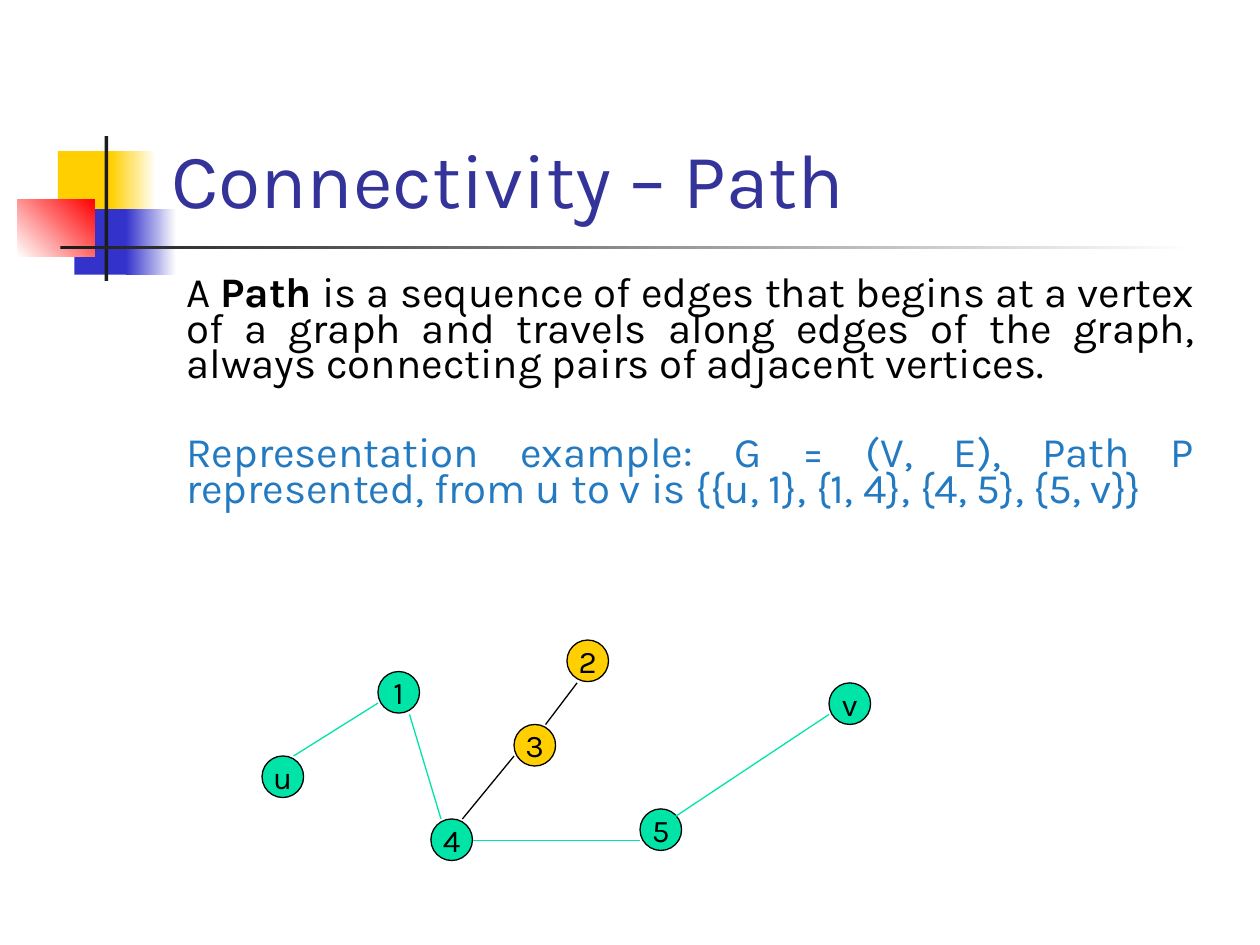
from lxml.etree import SubElement
from pptx import Presentation
from pptx.dml.color import RGBColor
from pptx.enum.shapes import MSO_CONNECTOR, MSO_SHAPE
from pptx.enum.text import MSO_ANCHOR, MSO_AUTO_SIZE, PP_ALIGN
from pptx.oxml.ns import qn
from pptx.util import Inches, Pt

FONT = "Karla"
BLACK, WHITE, INDIGO, BLUE = "000000", "FFFFFF", "333399", "237AC1"
YELLOW, VIOLET, RED, CHARCOAL, GREEN = "FFCF01", "3333CC", "FF0000", "1C1C1C", "00E4A8"


def rgb(value):
    """Turn a hex string into a colour."""
    return RGBColor.from_string(value)


def add_run(paragraph, text, size, color, bold=False):
    """Add one formatted run to a paragraph."""
    run = paragraph.add_run()
    run.text = text
    run.font.name = FONT
    run.font.size = Pt(size)
    run.font.bold = bold
    run.font.color.rgb = rgb(color)


def add_bar(slide, left, top, width, height, colors, angle=0):
    """Add a borderless rectangle with a solid or two-colour gradient fill."""
    bar = slide.shapes.add_shape(
        MSO_SHAPE.RECTANGLE, Inches(left), Inches(top), Inches(width), Inches(height))
    bar.shadow.inherit = False
    bar.line.fill.background()
    if len(colors) == 1:
        bar.fill.solid()
        bar.fill.fore_color.rgb = rgb(colors[0])
        return
    bar.fill.gradient()
    bar.fill.gradient_angle = angle
    for stop, color, position in zip(bar.fill.gradient_stops, colors, (0, 1)):
        stop.color.rgb = rgb(color)
        stop.position = position


def add_ornament(slide, left, top):
    """Draw the coloured squares and crossing rules beside the title."""
    bars = [
        (0.32, 0.12, 0.48, 0.52, [YELLOW], 0),
        (0.74, 0.12, 0.36, 0.52, [YELLOW, WHITE], 0),
        (0.45, 0.58, 0.46, 0.52, [VIOLET], 0),
        (0.86, 0.58, 0.4, 0.52, [VIOLET, WHITE], 0),
        (0, 0.5, 0.61, 0.46, [WHITE, RED], 45),
        (0.69, 0, 0.03, 1.15, [CHARCOAL], 0),
        (0.34, 0.87, 9, 0.03, [CHARCOAL, WHITE], 0),
    ]
    for x, y, width, height, colors, angle in bars:
        add_bar(slide, left + x, top + y, width, height, colors, angle)


def add_title(slide, left, top, width, height):
    """Place and format the slide title."""
    title = slide.shapes.title
    title.left, title.top = Inches(left), Inches(top)
    title.width, title.height = Inches(width), Inches(height)
    frame = title.text_frame
    frame.auto_size = MSO_AUTO_SIZE.NONE
    frame.vertical_anchor = MSO_ANCHOR.BOTTOM
    heading = frame.paragraphs[0]
    heading.alignment = PP_ALIGN.LEFT
    add_run(heading, "Connectivity – Path", 44, INDIGO)


def add_definition(slide, left, top, width, height):
    """Write the definition of a path and its example."""
    frame = slide.shapes.add_textbox(
        Inches(left), Inches(top), Inches(width), Inches(height)).text_frame
    frame.word_wrap = True
    definition, example = frame.paragraphs[0], frame.add_paragraph()
    for paragraph in (definition, example):
        paragraph.alignment = PP_ALIGN.JUSTIFY
        paragraph.line_spacing = 0.7
    example.space_before = Pt(31)
    add_run(definition, "A ", 24, BLACK)
    add_run(definition, "Path", 24, BLACK, bold=True)
    add_run(definition, " is a sequence of edges that begins at a vertex of a graph and "
            "travels along edges of the graph, always connecting pairs of adjacent "
            "vertices.", 24, BLACK)
    add_run(example, "Representation example: G = (V, E), Path P represented, "
            "from u to v is {{u, 1}, {1, 4}, {4, 5}, {5, v}}", 24, BLUE)


def add_vertex(slide, left, top, label, color):
    """Draw one labelled vertex."""
    vertex = slide.shapes.add_shape(
        MSO_SHAPE.OVAL, Inches(left), Inches(top), Inches(0.33), Inches(0.33))
    vertex.shadow.inherit = False
    vertex.fill.solid()
    vertex.fill.fore_color.rgb = rgb(color)
    vertex.line.color.rgb = rgb(BLACK)
    vertex.line.width = Pt(0.75)
    frame = vertex.text_frame
    frame.word_wrap = False
    frame.vertical_anchor = MSO_ANCHOR.MIDDLE
    frame.paragraphs[0].alignment = PP_ALIGN.CENTER
    add_run(frame.paragraphs[0], label, 18, BLACK)


def add_edge(slide, start_x, start_y, end_x, end_y, color):
    """Draw one edge between two points."""
    edge = slide.shapes.add_connector(
        MSO_CONNECTOR.STRAIGHT, Inches(start_x), Inches(start_y),
        Inches(end_x), Inches(end_y))
    edge.line.color.rgb = rgb(color)
    edge.line.width = Pt(0.75)
    SubElement(edge._element.spPr, qn("a:effectLst"))


def add_graph(slide, left, top):
    """Draw the example graph with the path from u to v in green."""
    vertices = [
        ("1", 1, 0.33, GREEN),
        ("u", 0.08, 1, GREEN),
        ("3", 2.08, 0.75, YELLOW),
        ("4", 1.42, 1.5, GREEN),
        ("5", 3.08, 1.42, GREEN),
        ("2", 2.5, 0.08, YELLOW),
        ("v", 4.58, 0.42, GREEN),
    ]
    edges = [
        (0.33, 1, 1, 0.58, GREEN),
        (1.25, 0.67, 1.5, 1.5, GREEN),
        (1.75, 1.67, 3.08, 1.67, GREEN),
        (3.33, 1.5, 4.58, 0.67, GREEN),
        (2.58, 0.42, 2.33, 0.75, BLACK),
        (2.08, 1, 1.67, 1.5, BLACK),
    ]
    for label, x, y, color in vertices:
        add_vertex(slide, left + x, top + y, label, color)
    for start_x, start_y, end_x, end_y, color in edges:
        add_edge(slide, left + start_x, top + start_y, left + end_x, top + end_y, color)


def main():
    """Build and save the slide."""
    deck = Presentation()
    deck.slide_width, deck.slide_height = Inches(10), Inches(7.5)
    slide = deck.slides.add_slide(deck.slide_layouts[5])
    add_ornament(slide, 0.14, 1.08)
    add_title(slide, 1.26, 0.23, 8.52, 1.6)
    add_definition(slide, 1.38, 2.17, 8.2, 2.58)
    add_graph(slide, 2, 5)
    deck.save("out.pptx")


if __name__ == "__main__":
    main()
